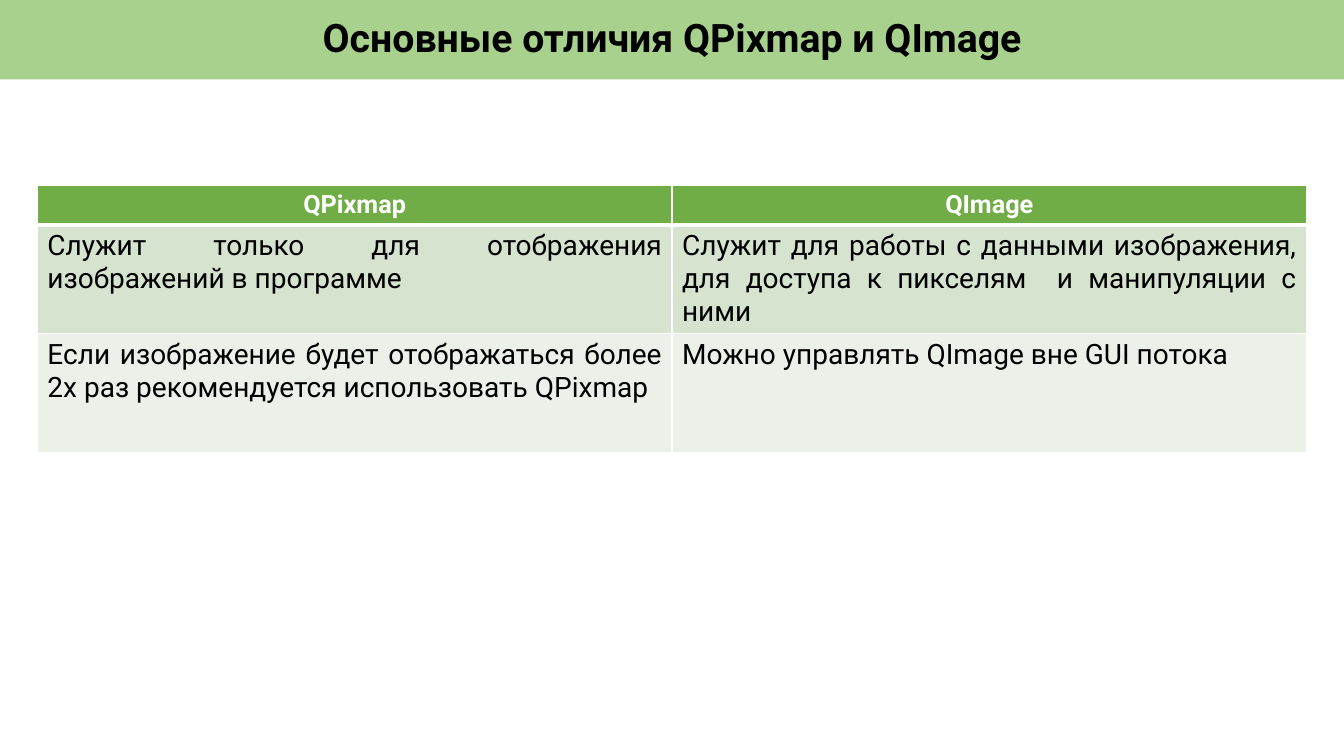
from lxml import etree
from pptx import Presentation
from pptx.dml.color import RGBColor
from pptx.enum.text import MSO_ANCHOR, MSO_AUTO_SIZE, PP_ALIGN
from pptx.oxml.ns import qn
from pptx.util import Inches, Pt

CENTER, JUSTIFY = PP_ALIGN.CENTER, PP_ALIGN.JUSTIFY
MIDDLE = MSO_ANCHOR.MIDDLE
NO_AUTOFIT = MSO_AUTO_SIZE.NONE

BLACK = RGBColor(0x00, 0x00, 0x00)
WHITE = RGBColor(0xFF, 0xFF, 0xFF)
TITLE_GREEN = RGBColor(0xA9, 0xD1, 0x8E)
HEADER_GREEN = RGBColor(0x70, 0xAD, 0x47)
BAND_GREENS = (RGBColor(0xD5, 0xE3, 0xCF), RGBColor(0xEB, 0xF1, 0xE9))

GRID_COLUMNS, GRID_ROWS = 36, 100
TITLE_ONLY_LAYOUT = 5

HEADERS = ("QPixmap", "QImage")
DIFFERENCES = (
    (
        "Служит только для отображения изображений в программе",
        "Служит для работы с данными изображения, "
        "для доступа к пикселям  и манипуляции с ними",
    ),
    (
        "Если изображение будет отображаться более 2х раз "
        "рекомендуется использовать QPixmap",
        "Можно управлять QImage вне GUI потока",
    ),
)


class ComparisonSlide:
    """Holds the style and the current slide, measured on a grid."""

    font_name = "Roboto"
    title_size, header_size, body_size = 28, 18, 20

    def __init__(self, presentation):
        self.column = presentation.slide_width / GRID_COLUMNS
        self.row = presentation.slide_height / GRID_ROWS
        layout = presentation.slide_layouts[TITLE_ONLY_LAYOUT]
        self.slide = presentation.slides.add_slide(layout)

    def box(self, left, top, width, height):
        return (
            round(left * self.column),
            round(top * self.row),
            round(width * self.column),
            round(height * self.row),
        )

    def add_text(self, text_frame, text, size, color, bold, alignment):
        paragraph = text_frame.paragraphs[0]
        paragraph.alignment = alignment
        run = paragraph.add_run()
        run.text = text
        run.font.name = self.font_name
        run.font.size = Pt(size)
        run.font.bold = bold
        run.font.color.rgb = color
        return paragraph

    def title(self, text, height):
        shape = self.slide.shapes.title
        shape.left, shape.top, shape.width, shape.height = self.box(
            0, 0, GRID_COLUMNS, height
        )
        shape.fill.solid()
        shape.fill.fore_color.rgb = TITLE_GREEN
        frame = shape.text_frame
        frame.word_wrap = True
        frame.auto_size = NO_AUTOFIT
        frame.vertical_anchor = MIDDLE
        paragraph = self.add_text(frame, text, self.title_size, BLACK, True, CENTER)
        paragraph.line_spacing = 0.9

    def borders(self, cell, top, bottom):
        properties = cell._tc.get_or_add_tcPr()
        for side, points in (("L", 1), ("R", 1), ("T", top), ("B", bottom)):
            line = etree.SubElement(properties, qn(f"a:ln{side}"), w=str(Pt(points)))
            fill = etree.SubElement(line, qn("a:solidFill"))
            etree.SubElement(fill, qn("a:srgbClr"), val=str(WHITE))

    def cell(self, cell, text, row_index):
        header = row_index == 0
        self.borders(cell, 3 if row_index == 1 else 1, 3 if header else 1)
        cell.fill.solid()
        cell.fill.fore_color.rgb = (HEADER_GREEN, *BAND_GREENS)[row_index]
        self.add_text(
            cell.text_frame,
            text,
            self.header_size if header else self.body_size,
            WHITE if header else BLACK,
            header,
            CENTER if header else JUSTIFY,
        )

    def table(self, rows, left, top, width, heights):
        frame = self.slide.shapes.add_table(
            len(rows), len(rows[0]), *self.box(left, top, width, sum(heights))
        )
        table = frame.table
        table.horz_banding = False
        for row_index, (texts, height) in enumerate(zip(rows, heights)):
            table.rows[row_index].height = round(height * self.row)
            for column_index, text in enumerate(texts):
                self.cell(table.cell(row_index, column_index), text, row_index)


def main():
    presentation = Presentation()
    presentation.slide_width = Inches(13.33)
    presentation.slide_height = Inches(7.5)
    slide = ComparisonSlide(presentation)
    slide.title("Основные отличия QPixmap и QImage", 10.5)
    slide.table((HEADERS, *DIFFERENCES), 1, 24.5, 34, (5, 12.1, 15.7))
    presentation.save("out.pptx")


if __name__ == "__main__":
    main()
